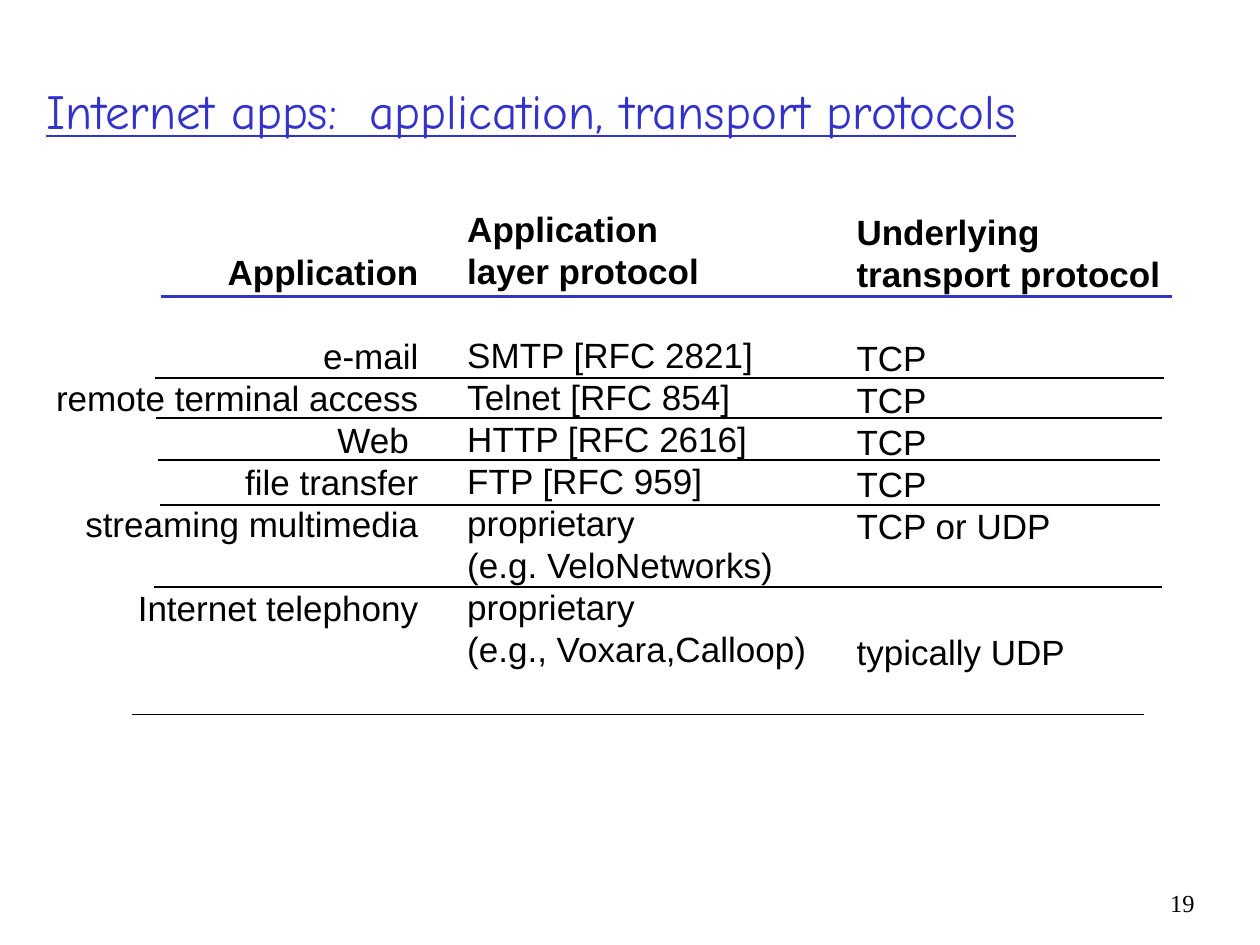
from dataclasses import dataclass

from lxml import etree
from pptx import Presentation
from pptx.dml.color import RGBColor
from pptx.enum.shapes import MSO_CONNECTOR
from pptx.enum.text import MSO_ANCHOR, PP_ALIGN
from pptx.oxml.ns import qn
from pptx.util import Inches, Pt

LEFT, RIGHT = PP_ALIGN.LEFT, PP_ALIGN.RIGHT
TOP, MIDDLE = MSO_ANCHOR.TOP, MSO_ANCHOR.MIDDLE
STRAIGHT = MSO_CONNECTOR.STRAIGHT


@dataclass(frozen=True)
class Theme:
    ink: RGBColor = RGBColor(0, 0, 0)
    accent: RGBColor = RGBColor(0x33, 0x33, 0xCC)
    title_font: str = "Comic Neue"
    body_font: str = "Arial"
    number_font: str = "Times New Roman"
    title_size: int = 28
    body_size: int = 20
    number_size: int = 14
    pitch: int = 24
    head_rule: float = 2.25
    row_rule: float = 1


@dataclass(frozen=True)
class Box:
    x: float
    y: float
    w: float
    h: float


THEME = Theme()
WIDTH, HEIGHT = 10, 7.5
COL = WIDTH / 100
ROW = THEME.pitch / 72
INSET = 0.05

TITLE_BOX = Box(0.27, 0.25, 9.57, 1.25)
TABLE_BOX = Box(0.3, 1.65, 9.3, 4.1)
NUMBER_BOX = Box(9.08, 7, 0.5, 0.5)

COLUMNS = [
    (0, 1.02, 31.2, RIGHT, 1, [
        (0, "Application"), (1, "e-mail"), (0, "remote terminal access"),
        (0, "Web "), (0, "file transfer"), (0, "streaming multimedia"),
        (1, "Internet telephony")]),
    (33.1, 0, 30.2, LEFT, 2, [
        (0, "Application"), (0, "layer protocol"), (1, "SMTP [RFC 2821]"),
        (0, "Telnet [RFC 854]"), (0, "HTTP [RFC 2616]"),
        (0, "FTP [RFC 959]"), (0, "proprietary"),
        (0, "(e.g. VeloNetworks)"), (0, "proprietary"),
        (0, "(e.g., Voxara,Calloop)")]),
    (64, 0.06, 28.7, LEFT, 2, [
        (0, "Underlying"), (0, "transport protocol"), (1, "TCP"),
        (0, "TCP"), (0, "TCP"), (0, "TCP"), (0, "TCP or UDP"),
        (2, "typically UDP")]),
]
HEAD_RULE = (9.8, 90, 2.11)
ROW_RULES = [(9.3, 89.4, 4.05), (9.4, 89.2, 5.01), (9.5, 89.1, 6),
             (9.7, 89.1, 7.07), (9.2, 89.2, 9.03), (7.5, 87.8, 12.06)]


def add_text_frame(s, box, anchor=TOP):
    sp = s.shapes.add_textbox(*map(Inches, (box.x, box.y, box.w, box.h)))
    tf = sp.text_frame
    tf.word_wrap = True
    tf.vertical_anchor = anchor
    return tf


def style(p, font, size, color, align=LEFT):
    p.alignment = align
    p.font.name = font
    p.font.size = Pt(size)
    p.font.color.rgb = color


def add_title(s, box, text):
    p = add_text_frame(s, box, MIDDLE).paragraphs[0]
    p.text = text
    style(p, THEME.title_font, THEME.title_size, THEME.accent)
    p.font.underline = True


def add_column(s, box, align, heads, lines):
    tf = add_text_frame(s, box)
    for i, (skip, text) in enumerate(lines):
        p = tf.add_paragraph() if i else tf.paragraphs[0]
        p.text = text
        p.line_spacing = Pt(THEME.pitch)
        if skip:
            p.space_before = Pt(skip * THEME.pitch)
        style(p, THEME.body_font, THEME.body_size, THEME.ink, align)
        p.font.bold = i < heads


def add_rule(s, box, rule, color, weight):
    start, end, row = rule
    y = Inches(box.y + row * ROW)
    sp = s.shapes.add_connector(STRAIGHT, Inches(box.x + start * COL), y,
                                Inches(box.x + end * COL), y)
    sp.line.color.rgb = color
    sp.line.width = Pt(weight)
    etree.SubElement(sp._element.spPr, qn("a:effectLst"))


def add_protocol_table(s, box):
    for col, row, span, align, heads, lines in COLUMNS:
        rows = len(lines) + sum(skip for skip, _ in lines)
        area = Box(box.x + col * COL, box.y + row * ROW - INSET,
                   span * COL, rows * ROW + 2 * INSET)
        add_column(s, area, align, heads, lines)
    add_rule(s, box, HEAD_RULE, THEME.accent, THEME.head_rule)
    for rule in ROW_RULES:
        add_rule(s, box, rule, THEME.ink, THEME.row_rule)


def add_page_number(s, box, text):
    p = add_text_frame(s, box).paragraphs[0]
    p.text = text
    style(p, THEME.number_font, THEME.number_size, THEME.ink, RIGHT)


def main():
    prs = Presentation()
    prs.slide_width, prs.slide_height = Inches(WIDTH), Inches(HEIGHT)
    s = prs.slides.add_slide(prs.slide_layouts[6])
    add_title(s, TITLE_BOX, "Internet apps:  application, transport protocols")
    add_protocol_table(s, TABLE_BOX)
    add_page_number(s, NUMBER_BOX, "19")
    prs.save("out.pptx")


if __name__ == "__main__":
    main()
